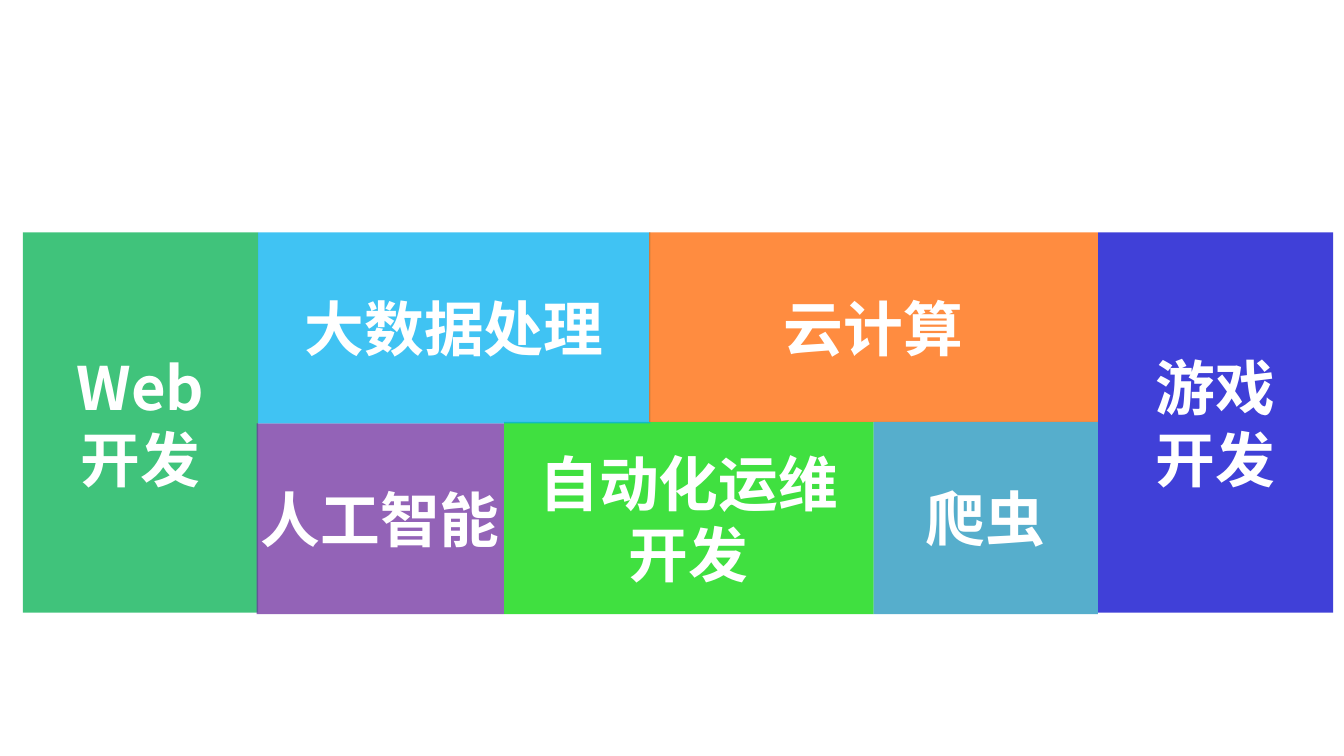
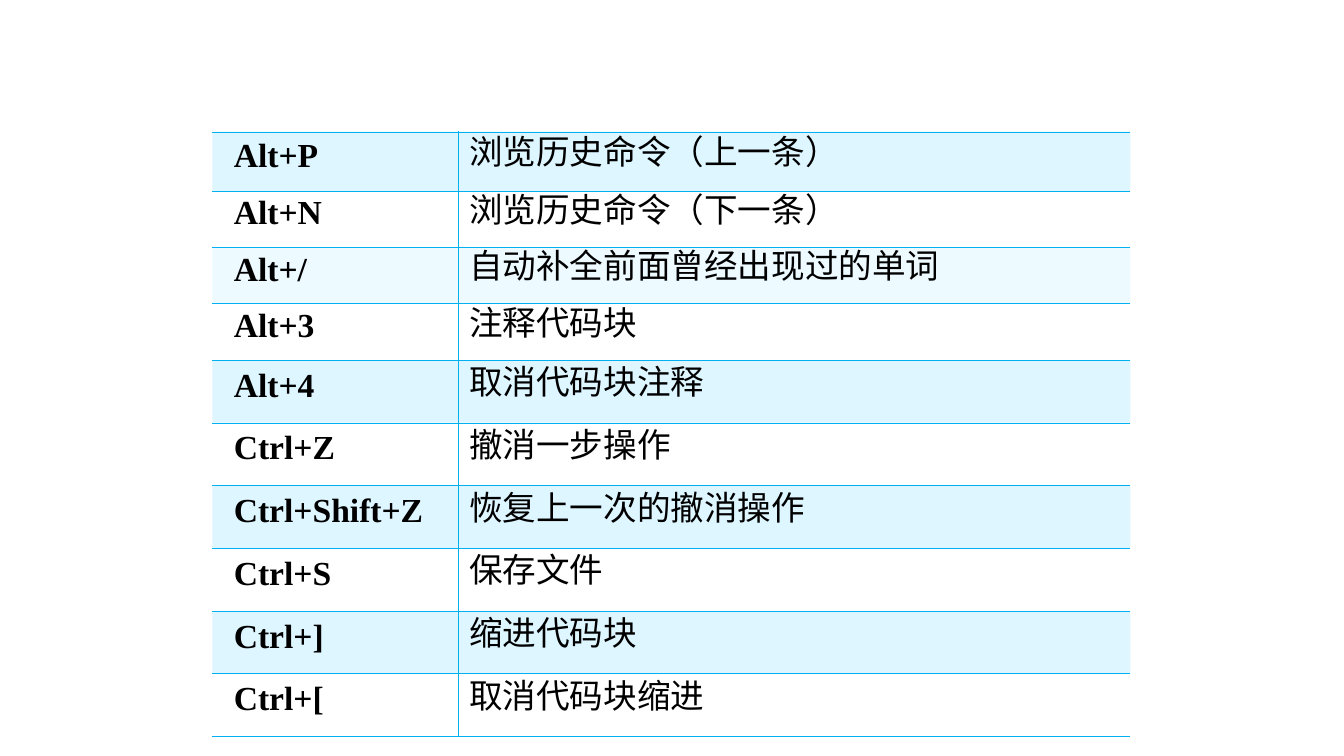
from lxml import etree
from pptx import Presentation
from pptx.dml.color import RGBColor
from pptx.enum.shapes import MSO_SHAPE
from pptx.enum.text import MSO_ANCHOR, PP_ALIGN
from pptx.oxml.ns import qn
from pptx.util import Inches, Pt

RECT = MSO_SHAPE.RECTANGLE
MIDDLE = MSO_ANCHOR.MIDDLE
CENTER, JUSTIFY = PP_ALIGN.CENTER, PP_ALIGN.JUSTIFY

CJK_FONT = "Noto Sans CJK SC"
LATIN_FONT = "Times New Roman"
WHITE, BLACK, CYAN = "FFFFFF", "000000", "00B0F0"
BAND, PALE_BAND = "5DD5FF", "A7E8FF"

# text, left, top, width, height, colour, side inset
TILES = [
    ("Web\n开发", 0.17, 1.73, 1.75, 2.83, "00B050", 0.1),
    ("人工智能", 1.91, 3.15, 1.84, 1.42, "7030A0", 0),
    ("自动化运维开发", 3.75, 3.14, 2.75, 1.43, "00D600", 0.1),
    ("大数据处理", 1.92, 1.73, 2.92, 1.42, CYAN, 0.1),
    ("游戏\n开发", 8.17, 1.73, 1.75, 2.83, "0000CC", 0.1),
    ("云计算", 4.83, 1.73, 3.34, 1.41, "FF6600", 0.1),
    ("爬虫", 6.5, 3.14, 1.67, 1.43, "1E93BC", 0.1),
]

# shortcut, meaning, band colour
SHORTCUTS = [
    ("Alt+P", "浏览历史命令（上一条）", BAND),
    ("Alt+N", "浏览历史命令（下一条）", None),
    ("Alt+/", "自动补全前面曾经出现过的单词", PALE_BAND),
    ("Alt+3", "注释代码块", None),
    ("Alt+4", "取消代码块注释", BAND),
    ("Ctrl+Z", "撤消一步操作", None),
    ("Ctrl+Shift+Z", "恢复上一次的撤消操作", BAND),
    ("Ctrl+S", "保存文件", None),
    ("Ctrl+]", "缩进代码块", BAND),
    ("Ctrl+[", "取消代码块缩进", None),
]
TABLE_HEIGHT = 4.5
TOP_ROWS = [0.44, 0.42, 0.42, 0.42]


def rgb(value):
    return RGBColor.from_string(value)


class Deck:
    def __init__(self):
        self.prs = Presentation()
        self.prs.slide_width = Inches(10)
        self.prs.slide_height = Inches(10 * 9 / 16)
        self.slide = None

    def new_slide(self):
        self.slide = self.prs.slides.add_slide(self.prs.slide_layouts[6])

    def fill(self, target, color, opacity):
        """Fill a shape or cell with a colour at an opacity in percent."""
        target.fill.solid()
        target.fill.fore_color.rgb = rgb(color)
        clr = target.fill._xPr.find(qn("a:solidFill"))[0]
        etree.SubElement(clr, qn("a:alpha"), val=str(opacity * 1000))

    def style_text(self, tf, font, size, color, bold, align, spacing=None):
        for p in tf.paragraphs:
            p.alignment = align
            if spacing:
                p.line_spacing = spacing
            for r in p.runs:
                r.font.size, r.font.bold = Pt(size), bold
                r.font.color.rgb = rgb(color)
                r.font.name = font
                latin = r._r.rPr.find(qn("a:latin"))
                latin.addnext(latin.makeelement(qn("a:ea"), typeface=CJK_FONT))

    def tile(self, text, left, top, width, height, color, inset):
        s = self.slide.shapes.add_shape(
            RECT, Inches(left), Inches(top), Inches(width), Inches(height))
        s.shadow.inherit = False
        s.line.fill.background()
        self.fill(s, color, 75)
        tf = s.text_frame
        tf.text = text
        tf.word_wrap = True
        tf.vertical_anchor = MIDDLE
        tf.margin_left = tf.margin_right = Inches(inset)
        self.style_text(tf, CJK_FONT, 32, WHITE, True, CENTER)

    def borders(self, cell, visible):
        """Draw the visible sides (letters of LRTB) and clear the others."""
        tcPr = cell._tc.get_or_add_tcPr()
        for i, side in enumerate("LRTB"):
            ln = tcPr.makeelement(qn(f"a:ln{side}"), w=str(Pt(0.23)))
            tcPr.insert(i, ln)
            if side in visible:
                line_fill = etree.SubElement(ln, qn("a:solidFill"))
                etree.SubElement(line_fill, qn("a:srgbClr"), val=CYAN)
            else:
                etree.SubElement(ln, qn("a:noFill"))

    def cell(self, cell, text, band, inset, bold, visible):
        cell.text = text
        cell.vertical_anchor = MIDDLE
        cell.margin_left, cell.margin_right = Inches(inset), Inches(0.08)
        if band:
            self.fill(cell, band, 20)
        else:
            cell.fill.background()
        self.borders(cell, visible)
        self.style_text(cell.text_frame, LATIN_FONT, 18, BLACK, bold, JUSTIFY, Pt(14))

    def shortcut_table(self, left, top, widths, height, top_rows, rows):
        """Add the table; rows after top_rows share the remaining height."""
        table = self.slide.shapes.add_table(
            len(rows), len(widths), Inches(left), Inches(top),
            Inches(sum(widths)), Inches(height)).table
        table.first_row = table.horz_banding = False
        for column, width in zip(table.columns, widths):
            column.width = Inches(width)
        others = len(rows) - len(top_rows)
        heights = top_rows + [(height - sum(top_rows)) / others] * others
        for i, (keys, meaning, band) in enumerate(rows):
            table.rows[i].height = Inches(heights[i])
            self.cell(table.cell(i, 0), keys, band, 0.16, True, "RTB")
            self.cell(table.cell(i, 1), meaning, band, 0.08, False, "LTB")


def main():
    deck = Deck()
    deck.new_slide()
    for tile in TILES:
        deck.tile(*tile)
    deck.new_slide()
    deck.shortcut_table(1.58, 0.98, (1.83, 5), TABLE_HEIGHT, TOP_ROWS, SHORTCUTS)
    deck.prs.save("out.pptx")


if __name__ == "__main__":
    main()
